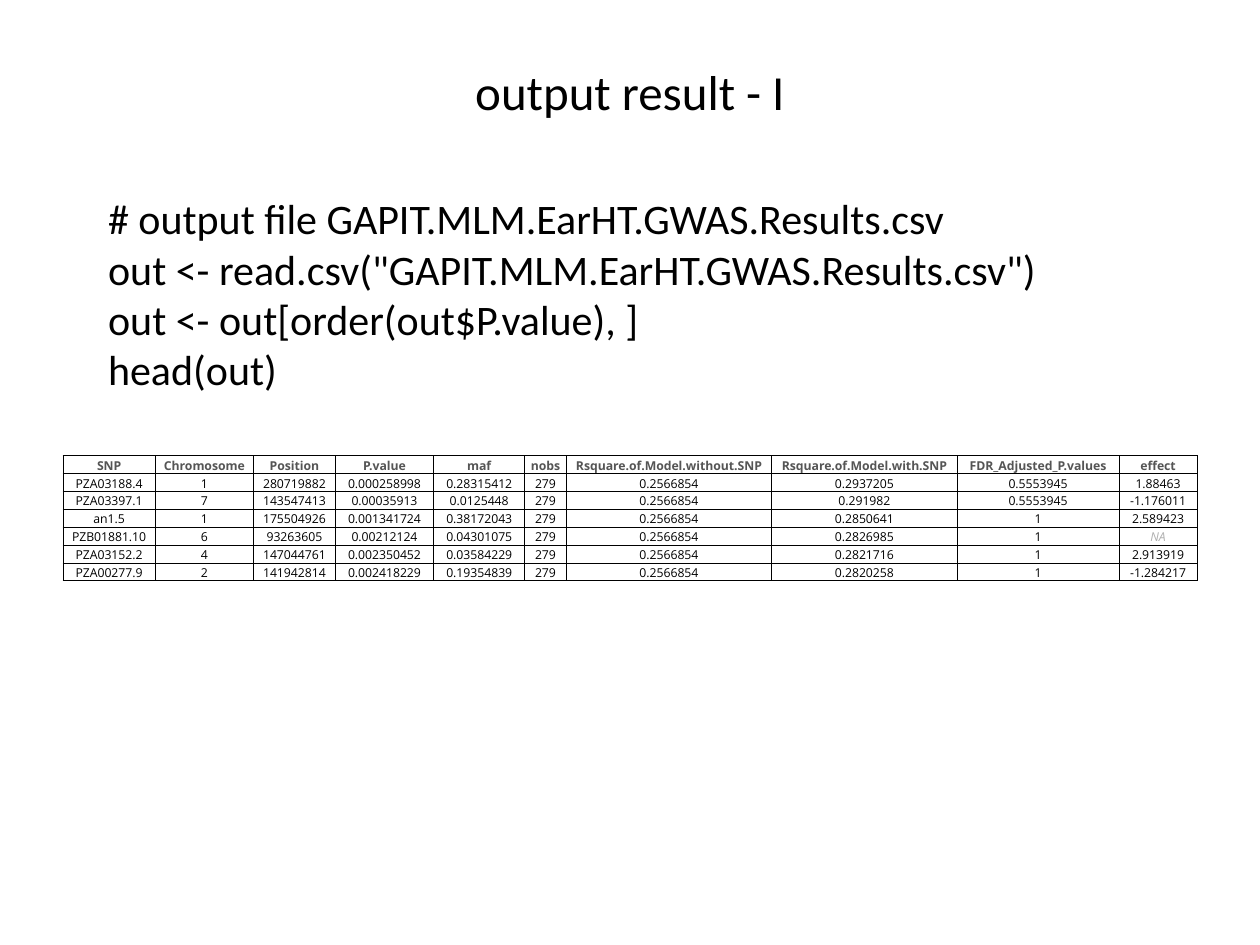
import dataclasses

import lxml.etree
import pptx
import pptx.dml.color
import pptx.enum.text
import pptx.oxml.ns
import pptx.util

Cm = pptx.util.Cm
Pt = pptx.util.Pt
ALIGN = pptx.enum.text.PP_ALIGN
ANCHOR = pptx.enum.text.MSO_ANCHOR


@dataclasses.dataclass(frozen=True)
class Theme:
    """Colours, fonts and type sizes of the slide."""
    ink: str = "000000"
    header: str = "555555"
    missing: str = "B0B0B0"
    body_font: str = "Calibri"
    table_font: str = "Open Sans"
    title_size: float = 28
    code_size: float = 24
    table_size: float = 7
    border: float = 0.5


CODE = """# output file GAPIT.MLM.EarHT.GWAS.Results.csv
out <- read.csv("GAPIT.MLM.EarHT.GWAS.Results.csv")
out <- out[order(out$P.value), ]
head(out)"""

COLUMNS = {
    "SNP": 1.86, "Chromosome": 1.98, "Position": 1.65, "P.value": 1.98,
    "maf": 1.84, "nobs": 0.83, "Rsquare.of.Model.without.SNP": 4.15,
    "Rsquare.of.Model.with.SNP": 3.73, "FDR_Adjusted_P.values": 3.27,
    "effect": 1.57,
}
RESULTS = """PZA03188.4 1 280719882 0.000258998 0.28315412 279 0.2566854 0.2937205 0.5553945 1.88463
PZA03397.1 7 143547413 0.00035913 0.0125448 279 0.2566854 0.291982 0.5553945 -1.176011
an1.5 1 175504926 0.001341724 0.38172043 279 0.2566854 0.2850641 1 2.589423
PZB01881.10 6 93263605 0.00212124 0.04301075 279 0.2566854 0.2826985 1 NA
PZA03152.2 4 147044761 0.002350452 0.03584229 279 0.2566854 0.2821716 1 2.913919
PZA00277.9 2 141942814 0.002418229 0.19354839 279 0.2566854 0.2820258 1 -1.284217"""


def write_text(tf, text, *, font, size, color, bold=False, italic=False, align=ALIGN.LEFT):
    """Write each line of text as a formatted paragraph."""
    for i, line in enumerate(text.splitlines()):
        p = tf.add_paragraph() if i else tf.paragraphs[0]
        p.alignment = align
        r = p.add_run()
        r.text = line
        r.font.name = font
        r.font.size = Pt(size)
        r.font.bold = bold
        r.font.italic = italic
        r.font.color.rgb = pptx.dml.color.RGBColor.from_string(color)


class SlideBuilder:
    """Draw elements on one slide in one style."""

    def __init__(self, slide, theme):
        """Keep the current slide and its theme."""
        self.s = slide
        self.theme = theme

    def text_box(self, text, left, top, width, height, *, anchor=ANCHOR.TOP, **fmt):
        """Add a wrapping text box."""
        sp = self.s.shapes.add_textbox(Cm(left), Cm(top), Cm(width), Cm(height))
        tf = sp.text_frame
        tf.word_wrap = True
        tf.vertical_anchor = anchor
        write_text(tf, text, font=self.theme.body_font, color=self.theme.ink, **fmt)

    def table(self, rows, widths, left, top, row_height):
        """Add a ruled table whose first row is the header."""
        frame = self.s.shapes.add_table(len(rows), len(widths), Cm(left), Cm(top),
                                        Cm(sum(widths)), Cm(row_height * len(rows)))
        tbl = frame.table
        tbl.horz_banding = False
        for col, width in zip(tbl.columns, widths):
            col.width = Cm(width)
        for y, values in enumerate(rows):
            tbl.rows[y].height = Cm(row_height)
            for x, value in enumerate(values):
                self.cell(tbl.cell(y, x), value, header=y == 0)

    def cell(self, cell, value, header):
        """Fill in, format and border one table cell."""
        theme = self.theme
        missing = value == "NA"
        color = theme.header if header else theme.missing if missing else theme.ink
        cell.margin_left = cell.margin_right = cell.margin_top = Cm(0.02)
        cell.margin_bottom = 0
        cell.vertical_anchor = ANCHOR.BOTTOM
        cell.fill.background()
        write_text(cell.text_frame, value, font=theme.table_font, size=theme.table_size,
                   color=color, bold=header, italic=missing, align=ALIGN.CENTER)
        self.borders(cell)

    def borders(self, cell):
        """Draw a solid line on all four sides of a cell."""
        qn = pptx.oxml.ns.qn
        tc_pr = cell._tc.get_or_add_tcPr()
        for i, side in enumerate("LRTB"):
            ln = lxml.etree.Element(qn(f"a:ln{side}"), w=str(Pt(self.theme.border)))
            fill = lxml.etree.SubElement(ln, qn("a:solidFill"))
            lxml.etree.SubElement(fill, qn("a:srgbClr"), val=self.theme.ink)
            tc_pr.insert(i, ln)


def main():
    """Build the slide and save it."""
    prs = pptx.Presentation()
    prs.slide_width, prs.slide_height = Cm(25.4), Cm(19.05)
    theme = Theme()
    builder = SlideBuilder(prs.slides.add_slide(prs.slide_layouts[6]), theme)
    builder.text_box("output result - I", 1.27, 0.76, 22.86, 2.16, anchor=ANCHOR.MIDDLE,
                     size=theme.title_size, align=ALIGN.CENTER)
    rows = [list(COLUMNS)] + [line.split() for line in RESULTS.splitlines()]
    builder.table(rows, list(COLUMNS.values()), 1.27, 9.19, 0.36)
    builder.text_box(CODE, 1.93, 3.76, 20.14, 4.37, size=theme.code_size)
    prs.save("out.pptx")


if __name__ == "__main__":
    main()
